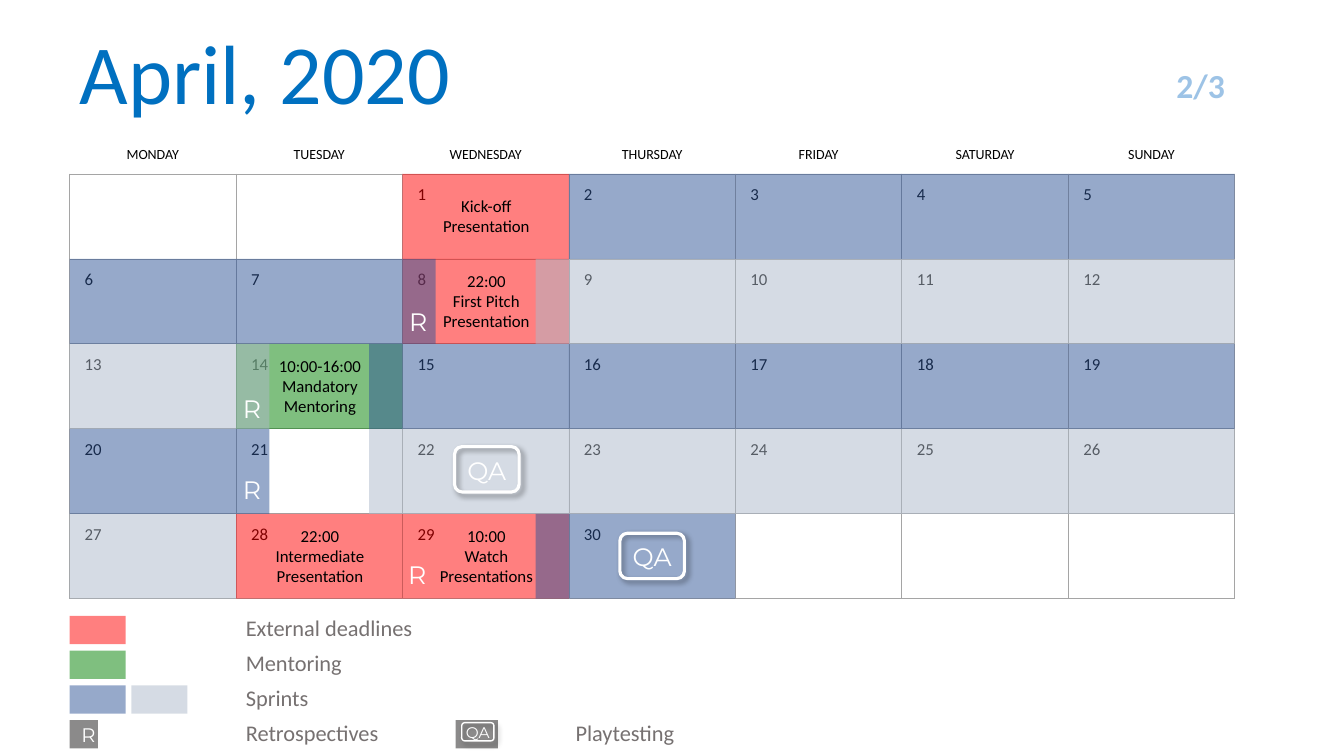
from pptx import Presentation
from pptx.util import Pt
from pptx.dml.color import RGBColor
from pptx.enum.shapes import MSO_SHAPE
from pptx.enum.text import MSO_ANCHOR, PP_ALIGN
from pptx.oxml import parse_xml
from pptx.oxml.ns import nsdecls, qn

RED, GREEN, BLUE, GREY, DARK = "FF0000", "008000", "2F5597", "ADB9CA", "181717"
LEFT, TOP, WIDE, HIGH, HEAD = 49.7, 124.2, 118.9, 60.7, 27.6
DAYS = ["MONDAY", "TUESDAY", "WEDNESDAY", "THURSDAY", "FRIDAY", "SATURDAY", "SUNDAY"]
FIRST, LAST = 2, 30  # column of day 1, last day

deck = Presentation()
deck.slide_width, deck.slide_height = Pt(960), Pt(540)
slide = deck.slides.add_slide(deck.slide_layouts[6])


def write(frame, text, hue="000000", align=PP_ALIGN.LEFT, space=1.0, **font):
    """Fill a text frame and format each of its paragraphs."""
    frame.word_wrap = True
    frame.text = text
    for para in frame.paragraphs:
        para.alignment, para.line_spacing = align, space
        for run in para.runs:
            run.font.color.rgb = RGBColor.from_string(hue)
            for key, value in font.items():
                setattr(run.font, key, value)


def block(x, y, wide, high, hue):
    """Draw a half transparent rectangle without outline."""
    shape = slide.shapes.add_shape(MSO_SHAPE.RECTANGLE, Pt(x), Pt(y), Pt(wide), Pt(high))
    shape.shadow.inherit = False
    shape.line.fill.background()
    shape.fill.solid()
    shape.fill.fore_color.rgb = RGBColor.from_string(hue)
    tint = shape._element.spPr.find(".//" + qn("a:srgbClr"))
    tint.append(parse_xml(f'<a:alpha {nsdecls("a")} val="50000"/>'))


# Calendar grid
table = slide.shapes.add_table(6, 7, Pt(LEFT), Pt(TOP - HEAD), Pt(7 * WIDE),
                               Pt(HEAD + 5 * HIGH)).table
table.first_row = table.horz_banding = False
for col in table.columns:
    col.width = Pt(WIDE)
for r, row in enumerate(table.rows):
    row.height = Pt(HIGH if r else HEAD)
    for c, cell in enumerate(row.cells):
        for side in "LRTB" if r else "B":
            cell._tc.get_or_add_tcPr().append(parse_xml(
                f'<a:ln{side} {nsdecls("a")} w="6350"><a:solidFill>'
                f'<a:srgbClr val="A5A5A5"/></a:solidFill></a:ln{side}>'))
        cell.fill.background()
        day = (r - 1) * 7 + c - FIRST + 1
        if r == 0:
            cell.vertical_anchor = MSO_ANCHOR.MIDDLE
            write(cell.text_frame, DAYS[c], align=PP_ALIGN.CENTER, size=Pt(10), name="Calibri")
        elif 1 <= day <= LAST:
            write(cell.text_frame, str(day), space=1.3, size=Pt(12), name="Calibri")
            cell.text_frame.paragraphs[0]._p.get_or_add_pPr().set("marL", str(Pt(3.6)))

# Deadlines and mentoring first, then sprints: week, first column, columns, colour
spans = [(0, 2, 1, RED), (1, 2, 1, RED), (2, 1, 1, GREEN), (4, 1, 1, RED), (4, 2, 1, RED),
         (1, 0, 1, BLUE), (1, 1, 1.2, BLUE), (1, 2.8, 1.2, GREY),
         (2, 0, 1.2, GREY), (2, 1.8, 1.2, BLUE),
         (3, 0, 1.2, BLUE), (3, 1.8, 1.2, GREY),
         (4, 0, 1, GREY), (4, 2.8, 1.2, BLUE)]
for week, start, hue in [(0, 3, BLUE), (1, 4, GREY), (2, 3, BLUE), (3, 3, GREY)]:
    spans += [(week, col, 1, hue) for col in range(start, 7)]
for week, col, count, hue in spans:
    block(LEFT + col * WIDE, TOP + week * HIGH, count * WIDE, HIGH, hue)

# Events: week, column, lines, text
events = [(0, 2, 2, "Kick-off Presentation"),
          (1, 2, 3, "22:00\vFirst Pitch Presentation"),
          (2, 1, 3, "10:00-16:00\vMandatory\nMentoring"),
          (4, 1, 3, "22:00\vIntermediate Presentation"),
          (4, 2, 3, "10:00\nWatch Presentations")]
MID = PP_ALIGN.CENTER
notes = []
for week, col, lines, text in events:
    high = 7.2 + 14.6 * lines
    notes.append((LEFT + col * WIDE + 4.5, TOP + (week + 0.5) * HIGH - high / 2,
                  110.9, high, text, "000000", MID, "Calibri", 12))

# Retrospectives in the calendar
for x, y in [(284.4, 215.3), (165.6, 277.2), (165.6, 335.5), (283.7, 396)]:
    notes.append((x, y, 28.8, 28.8, "R", "FFFFFF", MID, "Montserrat", 18))

# Legend
LINE, STEP = 440, 24.8
swatches = [(0, 0, 40, RED), (1, 0, 40, GREEN), (2, 0, 40, BLUE), (2, 44.2, 40, GREY),
            (3, 0, 20.2, DARK), (3, 275.8, 30.2, DARK)]
for line, shift, wide, hue in swatches:
    block(LEFT + shift, LINE + line * STEP, wide, 20.2, hue)
labels = [(0, 168.5, "External deadlines"), (1, 168.5, "Mentoring"), (2, 168.5, "Sprints"),
          (3, 168.5, "Retrospectives"), (3, 404, "Playtesting")]
for line, x, text in labels:
    notes.append((x, LINE - 4.6 + line * STEP, 135.4, 26.6, text, "767171",
                  PP_ALIGN.LEFT, "Calibri", 16))
notes.append((51.1, 512.6, 15.8, 24.5, "R", "FFFFFF", MID, "Montserrat", 14))

# Playtesting badges: left, top, width, height, line, text size
badges = [(324.7, 319, 46.1, 32.4, 2.25, 18), (442.8, 380.9, 46.1, 32.4, 2.25, 18),
          (329.8, 516.2, 23, 13, 1, 11)]
for x, y, wide, high, line, size in badges:
    room, tall = (48.2, 28.8) if size == 18 else (35, 20.9)
    notes.append((x + (wide - room) / 2, y + (high - tall) / 2 + 0.7, room, tall,
                  "QA", "FFFFFF", MID, "Montserrat", size))
    badge = slide.shapes.add_shape(MSO_SHAPE.ROUNDED_RECTANGLE, Pt(x), Pt(y), Pt(wide), Pt(high))
    badge.fill.background()
    badge.line.color.rgb = RGBColor.from_string("FFFFFF")
    badge.line.width = Pt(line)
    badge.shadow.inherit = False
    badge._element.spPr.find(qn("a:effectLst")).append(parse_xml(
        f'<a:outerShdw {nsdecls("a")} blurRad="{Pt(4)}" dist="{Pt(3)}" dir="2700000">'
        '<a:srgbClr val="000000"><a:alpha val="40000"/></a:srgbClr></a:outerShdw>'))

for x, y, wide, high, text, hue, align, face, size in notes:
    area = slide.shapes.add_textbox(Pt(x), Pt(y), Pt(wide), Pt(high))
    write(area.text_frame, text, hue, align, name=face, size=Pt(size))

# Title and page count
heads = [(49.7, 1.4, 288.7, 90, "April, 2020", "0070C0", PP_ALIGN.LEFT, 0.9, 60, False),
         (816.5, 46.1, 65.5, 32.4, "2/3", "9DC3E6", PP_ALIGN.RIGHT, 0.8, 24, True)]
for x, y, wide, high, text, hue, align, space, size, bold in heads:
    area = slide.shapes.add_textbox(Pt(x), Pt(y), Pt(wide), Pt(high))
    area.text_frame.vertical_anchor = MSO_ANCHOR.BOTTOM
    write(area.text_frame, text, hue, align, space, name="Calibri", size=Pt(size), bold=bold)

deck.save("out.pptx")
